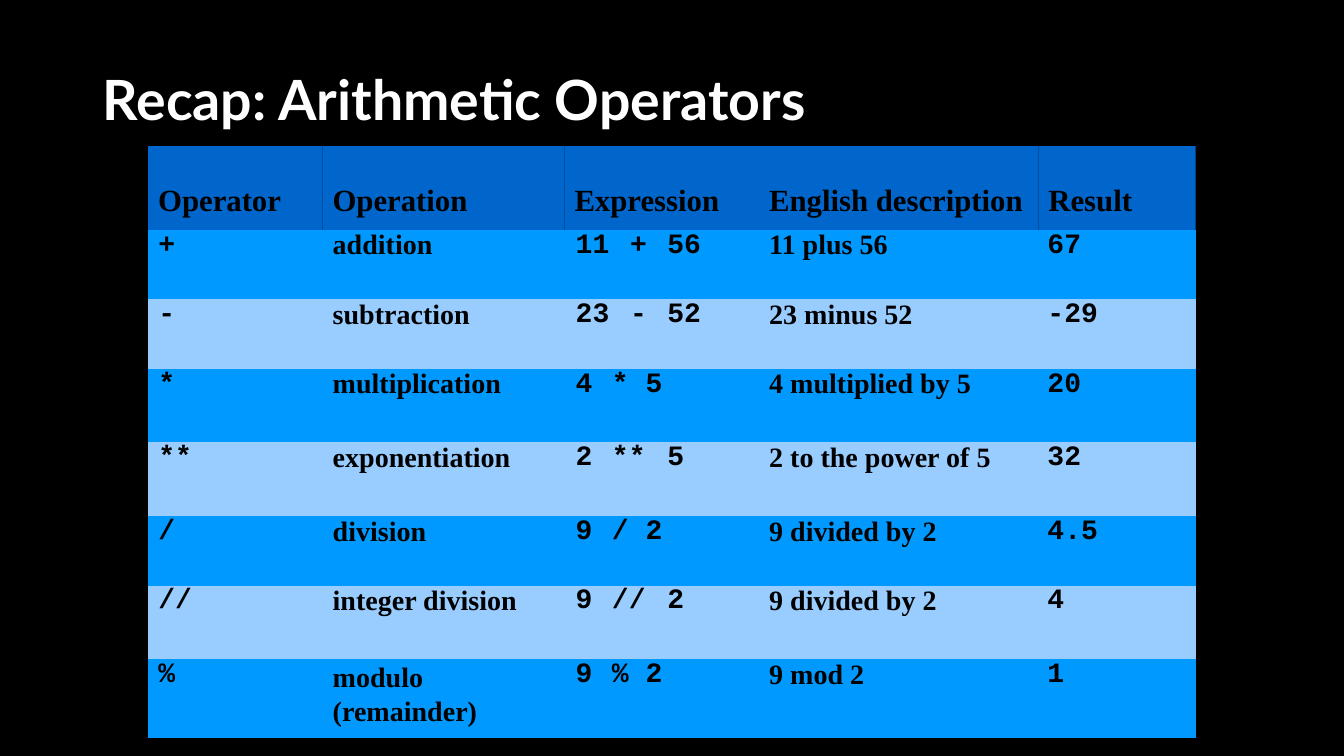
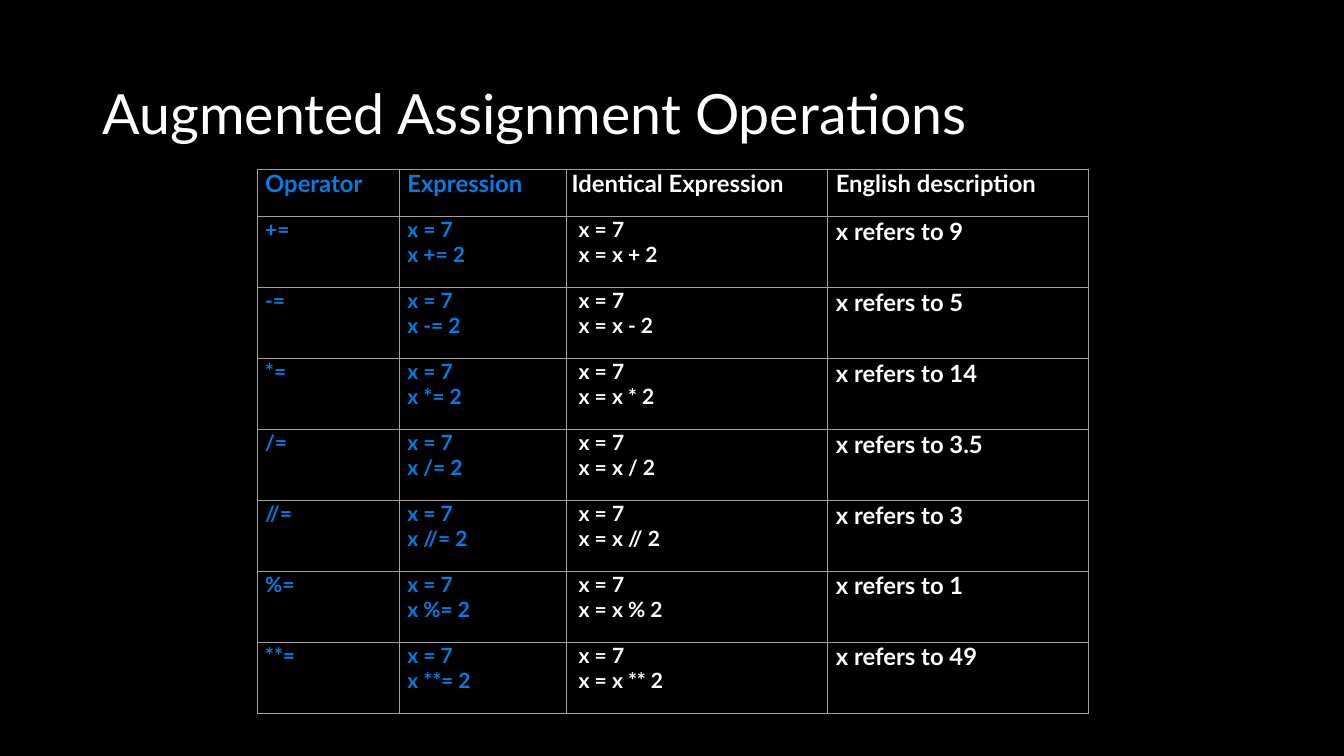
from dataclasses import dataclass

from lxml import etree
from pptx import Presentation
from pptx.dml.color import RGBColor
from pptx.enum.shapes import MSO_SHAPE
from pptx.enum.text import MSO_ANCHOR, PP_ALIGN
from pptx.oxml.ns import qn
from pptx.util import Inches, Pt

RECTANGLE = MSO_SHAPE.RECTANGLE
MIDDLE, BOTTOM = MSO_ANCHOR.MIDDLE, MSO_ANCHOR.BOTTOM
LEFT = PP_ALIGN.LEFT
BLANK_LAYOUT = 6


@dataclass(frozen=True)
class Theme:
    """Colours, fonts and type sizes of the deck."""
    background: str = "000000"
    light: str = "FFFFFF"
    dark: str = "000000"
    accent: str = "017EE5"
    grid: str = "A2A2A2"
    header_band: str = "0066CC"
    row_bands: tuple = ("0099FF", "99CCFF")
    sans: str = "Lato"
    serif: str = "Times New Roman"
    mono: str = "Courier New"
    title_size: float = 39.6
    band_size: float = 22
    arithmetic_size: float = 20
    label_size: float = 17
    code_size: float = 15


THEME = Theme()

ARITHMETIC_HEADERS = ["Operator", "Operation", "Expression", "English description", "Result"]
ARITHMETIC_HEADER_WIDTHS = [1.73, 2.4, 1.93, 2.77, 1.56]
ARITHMETIC_WIDTHS = [1.15, 2.89, 0.56, 0.46, 0.78, 2.91, 1.64]
ARITHMETIC_HEIGHTS = [0.69, 0.69, 0.73, 0.73, 0.69, 0.73, 0.78]
ARITHMETIC_INDENTS = [0.1, 0.68, 0.2, 0, 0.09, 0.32, 0.17]
ARITHMETIC_SERIF_COLUMNS = (1, 5)
SIGN_COLUMN = 3
SIGN_INDENT = 0.18
ARITHMETIC_ROWS = [
    ["+", "addition", "11", "+", "56", "11 plus 56", "67"],
    ["-", "subtraction", "23", "-", "52", "23 minus 52", "-29"],
    ["*", "multiplication", "4", "* 5", None, "4 multiplied by 5", "20"],
    ["**", "exponentiation", "2", "**", "5", "2 to the power of 5", "32"],
    ["/", "division", "9", "/ 2", None, "9 divided by 2", "4.5"],
    ["//", "integer division", "9", "//", "2", "9 divided by 2", "4"],
    ["%", "modulo (remainder)", "9", "% 2", None, "9 mod 2", "1"],
]

AUGMENTED_HEADERS = ["Operator", "Expression", "Identical Expression", "English description"]
AUGMENTED_WIDTHS = [1.41, 1.66, 2.59, 2.59]
AUGMENTED_HEADER_HEIGHT = 0.47
AUGMENTED_RESULTS = [("+", "9"), ("-", "5"), ("*", "14"), ("/", "3.5"),
                     ("//", "3"), ("%", "1"), ("**", "49")]


def style_text(frame, text, font, size, color, bold=True):
    """Write text, one paragraph a line, in a single style."""
    frame.text = text
    for para in frame.paragraphs:
        para.alignment = LEFT
        para.font.name = font
        para.font.size = Pt(size)
        para.font.bold = bold
        para.font.color.rgb = RGBColor.from_string(color)


def set_borders(cell, color):
    """Draw all four borders of a cell, or hide them when color is None."""
    properties = cell._tc.get_or_add_tcPr()
    for side in ("a:lnL", "a:lnR", "a:lnT", "a:lnB"):
        line = etree.SubElement(properties, qn(side), w=str(Pt(1)))
        if color is None:
            etree.SubElement(line, qn("a:noFill"))
        else:
            fill = etree.SubElement(line, qn("a:solidFill"))
            etree.SubElement(fill, qn("a:srgbClr"), val=color)


def fill_cell(cell, text, indent, font, size, color, fill=None, border=None):
    """Set the text, indent, borders and fill of one cell."""
    cell.margin_left = Inches(indent)
    cell.margin_right = cell.margin_top = cell.margin_bottom = 0
    style_text(cell.text_frame, text, font, size, color)
    set_borders(cell, border)
    if fill is None:
        cell.fill.background()
    else:
        cell.fill.solid()
        cell.fill.fore_color.rgb = RGBColor.from_string(fill)


def add_plain_table(page, left, top, widths, heights):
    """Add a table without banding, with the given columns and rows."""
    frame = page.shapes.add_table(len(heights), len(widths), Inches(left), Inches(top),
                                  Inches(sum(widths)), Inches(sum(heights)))
    table = frame.table
    table.first_row = table.horz_banding = False
    for column, width in zip(table.columns, widths):
        column.width = Inches(width)
    for row, height in zip(table.rows, heights):
        row.height = Inches(height)
    return table


def add_page(deck, title, title_top, bold):
    """Add a page with its title."""
    page = deck.slides.add_slide(deck.slide_layouts[BLANK_LAYOUT])
    box = page.shapes.add_textbox(Inches(0.92), Inches(title_top), Inches(11.5), Inches(0.72))
    frame = box.text_frame
    frame.word_wrap = True
    frame.vertical_anchor = MIDDLE
    style_text(frame, title, THEME.sans, THEME.title_size, THEME.light, bold)
    frame.paragraphs[0].line_spacing = 0.9
    return page


def add_header_band(page, left, top, height):
    """Place the header cells of the arithmetic table side by side."""
    for text, width in zip(ARITHMETIC_HEADERS, ARITHMETIC_HEADER_WIDTHS):
        band = page.shapes.add_shape(RECTANGLE, Inches(left), Inches(top),
                                     Inches(width), Inches(height))
        band.shadow.inherit = False
        band.fill.solid()
        band.fill.fore_color.rgb = RGBColor.from_string(THEME.header_band)
        band.line.fill.background()
        frame = band.text_frame
        frame.word_wrap = False
        frame.vertical_anchor = BOTTOM
        frame.margin_left = Inches(0.1)
        frame.margin_right = frame.margin_top = 0
        frame.margin_bottom = Inches(0.25)
        style_text(frame, text, THEME.serif, THEME.band_size, THEME.dark)
        left += width


def add_arithmetic_table(page, left, top):
    """Place the banded rows of arithmetic operators."""
    table = add_plain_table(page, left, top, ARITHMETIC_WIDTHS, ARITHMETIC_HEIGHTS)
    for row, texts in enumerate(ARITHMETIC_ROWS):
        for column, text in enumerate(texts):
            indent = ARITHMETIC_INDENTS[column]
            if column == SIGN_COLUMN and text in ("+", "-"):
                indent = SIGN_INDENT
            font = THEME.serif if column in ARITHMETIC_SERIF_COLUMNS else THEME.mono
            fill_cell(table.cell(row, column), text or "", indent, font,
                      THEME.arithmetic_size, THEME.dark, fill=THEME.row_bands[row % 2])
        if texts[SIGN_COLUMN + 1] is None:
            table.cell(row, SIGN_COLUMN).merge(table.cell(row, SIGN_COLUMN + 1))
    remainder = table.cell(len(ARITHMETIC_ROWS) - 1, 1)
    remainder.text_frame.paragraphs[0].line_spacing = Pt(24.4)


def add_augmented_table(page, left, top, height):
    """Place the ruled table of augmented assignments."""
    count = len(AUGMENTED_RESULTS)
    row_height = (height - AUGMENTED_HEADER_HEIGHT) / count
    table = add_plain_table(page, left, top, AUGMENTED_WIDTHS,
                            [AUGMENTED_HEADER_HEIGHT] + [row_height] * count)
    rows = [AUGMENTED_HEADERS] + [
        [f"{sign}=", f"x = 7\nx {sign}= 2", f"x = 7\nx = x {sign} 2", f"x refers to {result}"]
        for sign, result in AUGMENTED_RESULTS
    ]
    for row, texts in enumerate(rows):
        indents = [0.08, 0.08, 0.12 if row else 0.05, 0.08]
        for column, text in enumerate(texts):
            size = THEME.code_size if row and column < 3 else THEME.label_size
            color = THEME.accent if column < 2 else THEME.light
            fill_cell(table.cell(row, column), text, indents[column], THEME.sans,
                      size, color, border=THEME.grid)


def build_arithmetic_page(deck):
    """Build the recap of arithmetic operators."""
    page = add_page(deck, "Recap: Arithmetic Operators", 0.66, True)
    add_header_band(page, 1.47, 1.45, 0.96)
    add_arithmetic_table(page, 1.47, 2.28)


def build_augmented_page(deck):
    """Build the page on augmented assignment."""
    page = add_page(deck, "Augmented Assignment Operations", 0.8, False)
    add_augmented_table(page, 2.55, 1.68, 5.4)


def main():
    """Build and save the deck."""
    deck = Presentation()
    deck.slide_width, deck.slide_height = Inches(13.33), Inches(7.5)
    backdrop = deck.slide_master.background.fill
    backdrop.solid()
    backdrop.fore_color.rgb = RGBColor.from_string(THEME.background)
    build_arithmetic_page(deck)
    build_augmented_page(deck)
    deck.save("out.pptx")


if __name__ == "__main__":
    main()
